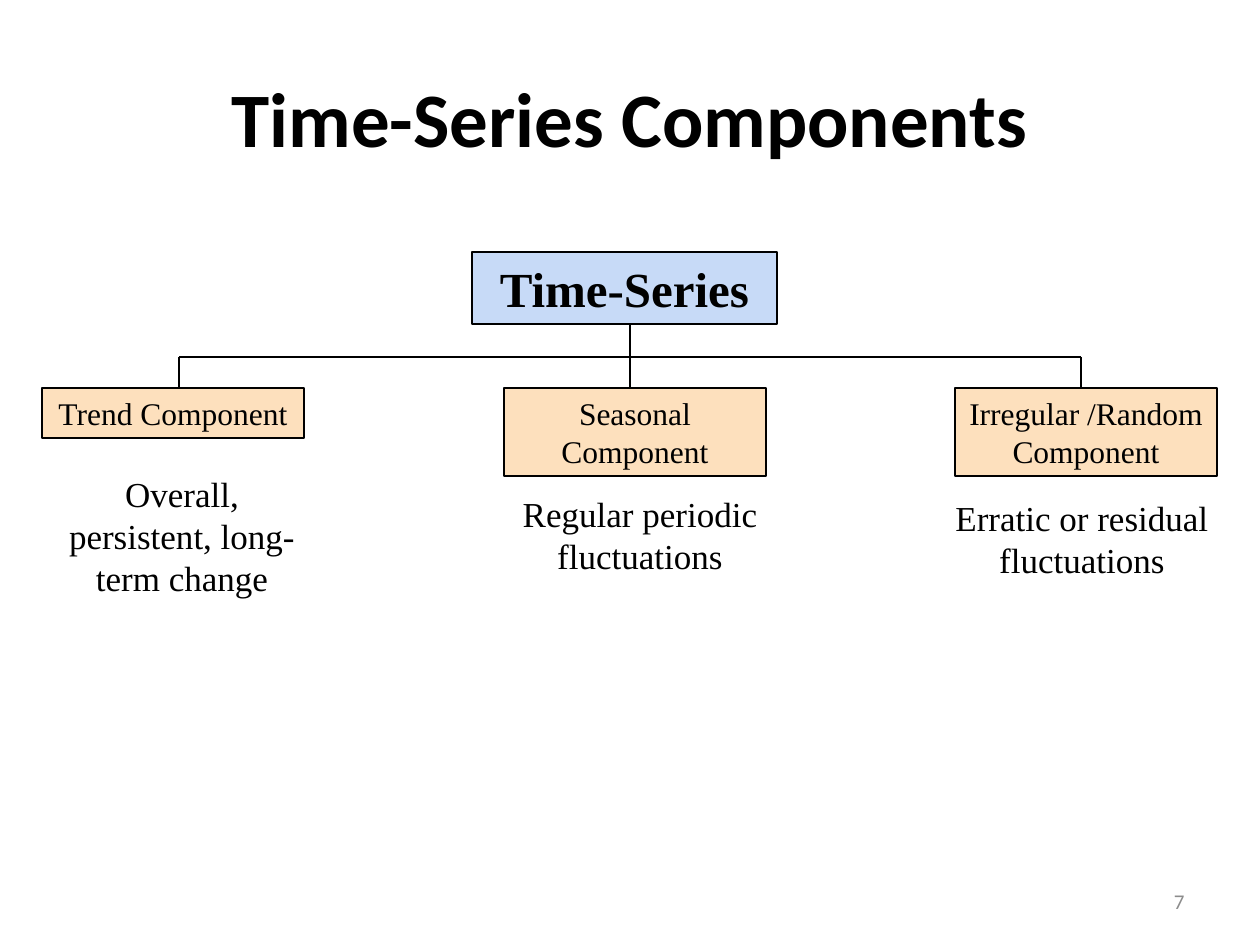
from lxml.etree import SubElement
from pptx import Presentation
from pptx.dml.color import RGBColor
from pptx.enum.shapes import MSO_CONNECTOR, MSO_SHAPE
from pptx.enum.text import MSO_ANCHOR, PP_ALIGN
from pptx.oxml.ns import qn
from pptx.util import Emu, Pt

EMU_PER_PIXEL = 914400 / 126
BLACK = RGBColor(0x00, 0x00, 0x00)
GREY = RGBColor(0x8C, 0x8C, 0x8C)
BLUE = RGBColor(0xC7, 0xDA, 0xF7)
PEACH = RGBColor(0xFD, 0xE0, 0xBD)
SERIF = "Times New Roman"
SANS = "Calibri"

ROOT_BOX = (472, 252, 305, 72)
ROOT_BOTTOM, BRANCH_Y, COMPONENT_TOP = 325, 357, 388
COMPONENT_WIDTH = 262

# name, box left, box height, stem x, description, description bounds
COMPONENTS = [
    ("Trend Component", 42, 50, 179,
     "Overall, persistent, long-term change", (40, 466, 284, 139)),
    ("Seasonal Component", 504, 88, 630,
     "Regular periodic fluctuations", (493, 486, 294, 97)),
    ("Irregular /Random Component", 955, 88, 1081,
     "Erratic or residual fluctuations", (935, 490, 294, 97)),
]


def px(*lengths):
    """Turn pixel lengths into EMU."""
    return [Emu(round(length * EMU_PER_PIXEL)) for length in lengths]


def write(shape, text, size, font=SERIF, color=BLACK, bold=False,
          align=PP_ALIGN.CENTER, anchor=MSO_ANCHOR.TOP):
    """Put one formatted paragraph into a shape."""
    frame = shape.text_frame
    frame.word_wrap = True
    frame.vertical_anchor = anchor
    paragraph = frame.paragraphs[0]
    paragraph.alignment = align
    run = paragraph.add_run()
    run.text = text
    run.font.size = Pt(size)
    run.font.name = font
    run.font.bold = bold
    run.font.color.rgb = color


def add_title(slide, text):
    """Place and fill the title placeholder."""
    title = slide.shapes.title
    title.left, title.top, title.width, title.height = px(63, 38, 1134, 157)
    write(title, text, 44, font=SANS, bold=True, anchor=MSO_ANCHOR.MIDDLE)


def add_box(slide, bounds, text, fill, size, bold=False):
    """Draw an outlined box with a label."""
    box = slide.shapes.add_shape(MSO_SHAPE.RECTANGLE, *px(*bounds))
    box.shadow.inherit = False
    box.fill.solid()
    box.fill.fore_color.rgb = fill
    box.line.color.rgb = BLACK
    box.line.width = Pt(0.75)
    write(box, text, size, bold=bold)


def add_label(slide, bounds, text, size, **style):
    """Add a plain text box."""
    write(slide.shapes.add_textbox(*px(*bounds)), text, size, **style)


def add_line(slide, *ends):
    """Draw a straight line of the tree."""
    line = slide.shapes.add_connector(MSO_CONNECTOR.STRAIGHT, *px(*ends))
    line.line.color.rgb = BLACK
    line.line.width = Pt(1.5)
    SubElement(line._element.spPr, qn("a:effectLst"))


def add_tree(slide):
    """Draw the root, its branches and the described components."""
    add_box(slide, ROOT_BOX, "Time-Series", BLUE, 28, bold=True)
    stems = [component[3] for component in COMPONENTS]
    add_line(slide, stems[1], ROOT_BOTTOM, stems[1], BRANCH_Y)
    add_line(slide, stems[0], BRANCH_Y, stems[-1], BRANCH_Y)
    for name, left, height, stem, description, bounds in COMPONENTS:
        add_line(slide, stem, BRANCH_Y, stem, COMPONENT_TOP)
        add_box(slide, (left, COMPONENT_TOP, COMPONENT_WIDTH, height),
                name, PEACH, 18)
        add_label(slide, bounds, description, 20)


def main():
    """Build and save the slide."""
    presentation = Presentation()
    presentation.slide_width, presentation.slide_height = px(1260, 945)
    slide = presentation.slides.add_slide(presentation.slide_layouts[5])
    add_title(slide, "Time-Series Components")
    add_tree(slide)
    add_label(slide, (903, 876, 294, 50), "7", 12, font=SANS, color=GREY,
              align=PP_ALIGN.RIGHT, anchor=MSO_ANCHOR.MIDDLE)
    presentation.save("out.pptx")


main()
